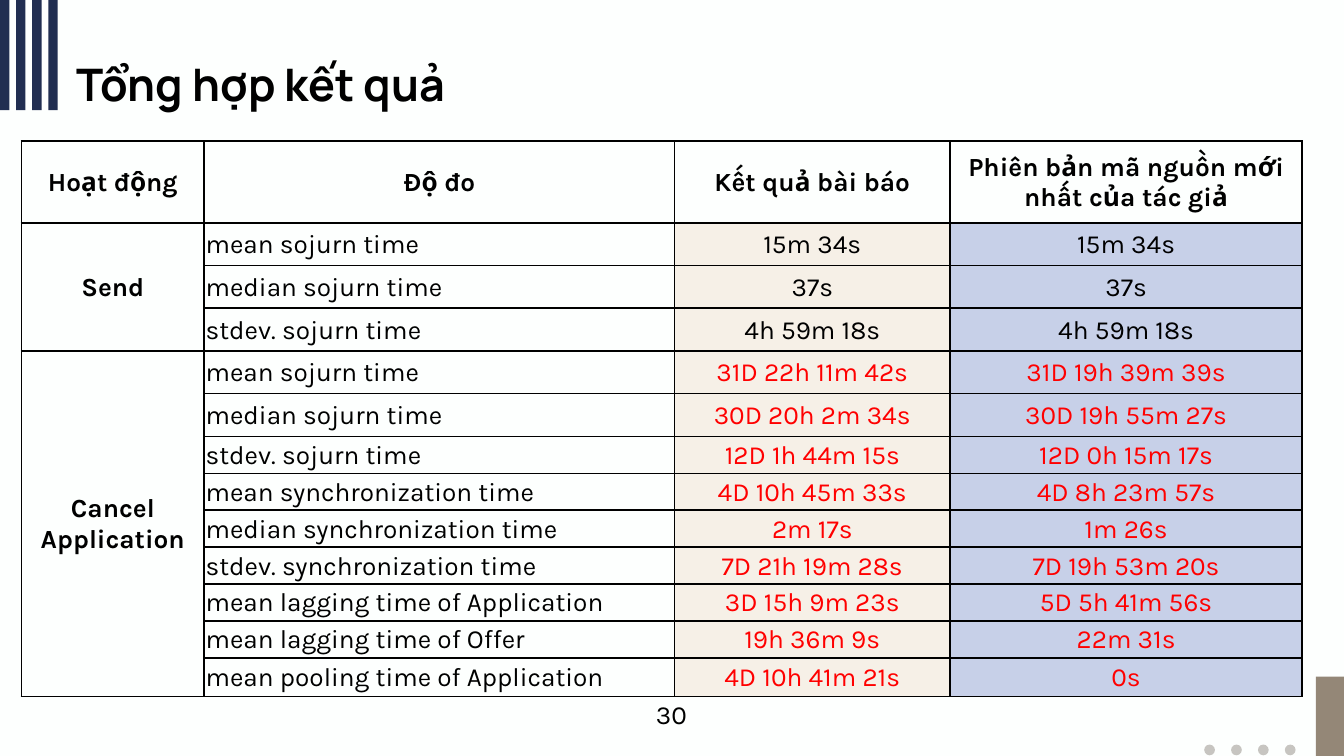
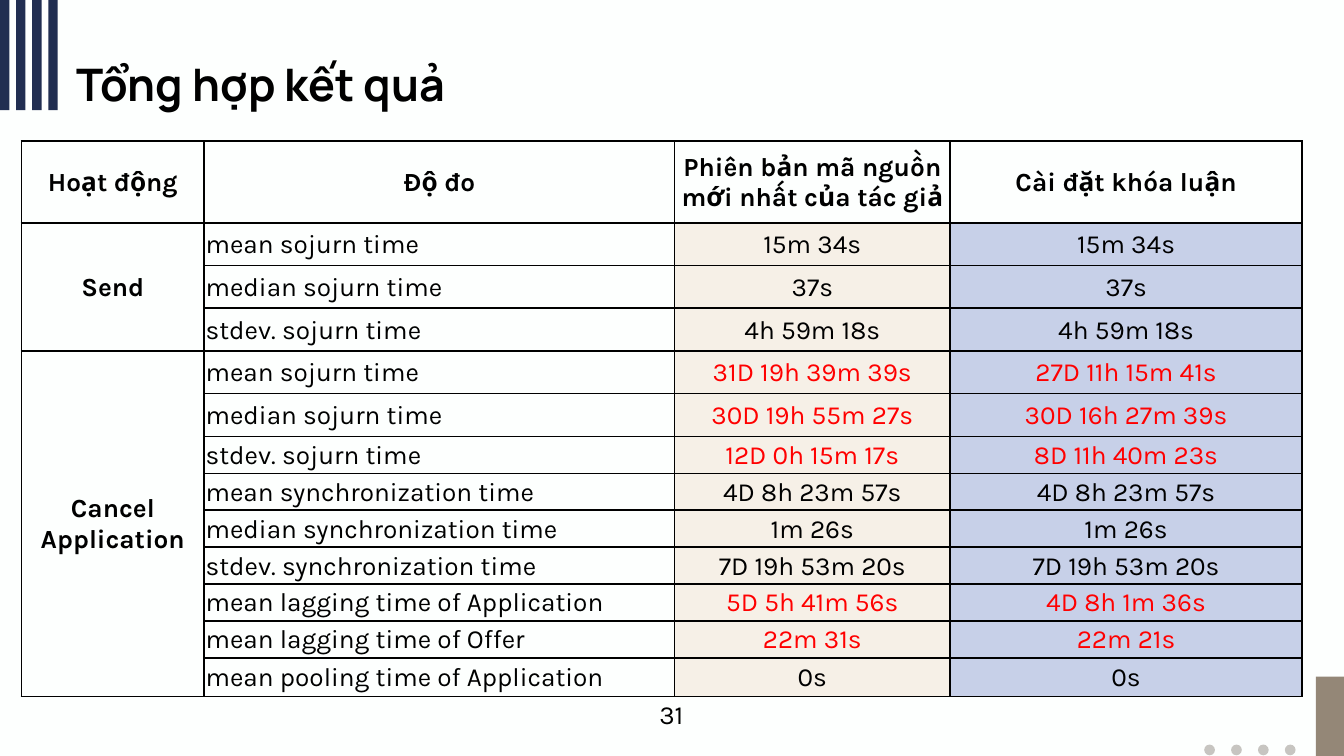
from lxml import etree
from pptx import Presentation
from pptx import util as u
from pptx.dml.color import RGBColor
from pptx.enum import shapes, text
from pptx.oxml.ns import qn

W = 10
H = W * 9 / 16
PAPER, NAVY, TAUPE, GREY = "FDFFFE", "212E51", "948777", "C7C5C1"
CREAM, BLUE, BLACK, RED = "F6F0E7", "C7D0E8", "000000", "FF0000"
MID = text.MSO_ANCHOR.MIDDLE
LEFT, CENTER = text.PP_ALIGN.LEFT, text.PP_ALIGN.CENTER
RECT, OVAL = shapes.MSO_SHAPE.RECTANGLE, shapes.MSO_SHAPE.OVAL

# Table grid: widths in inches, heights in points
COLS = [1.36, 3.5, 2.05, 2.62]
ROWS = [43.8] + [22.9] * 5 + [19.8] * 6 + [20.6]

# Labels shared by both tables
SOJURN = [f"{m} sojurn time" for m in ("mean", "median", "stdev.")]
SYNC = [f"{m} synchronization time" for m in ("mean", "median", "stdev.")]
LAGS = ["mean lagging time of Application", "mean lagging time of Offer",
        "mean pooling time of Application"]
NAMES = SOJURN + SOJURN + SYNC + LAGS
GROUPS = {1: ("Send", 3), 4: ("Cancel Application", 9)}

# Result columns: heading and values
SEND = ["15m 34s", "37s", "4h 59m 18s"]
SAME = ["4D 8h 23m 57s", "1m 26s", "7D 19h 53m 20s"]
PAPERS = ["Kết quả bài báo", *SEND,
          "31D 22h 11m 42s", "30D 20h 2m 34s", "12D 1h 44m 15s",
          "4D 10h 45m 33s", "2m 17s", "7D 21h 19m 28s",
          "3D 15h 9m 23s", "19h 36m 9s", "4D 10h 41m 21s"]
AUTHOR = ["Phiên bản mã nguồn mới nhất của tác giả", *SEND,
          "31D 19h 39m 39s", "30D 19h 55m 27s", "12D 0h 15m 17s", *SAME,
          "5D 5h 41m 56s", "22m 31s", "0s"]
THESIS = ["Cài đặt khóa luận", *SEND,
          "27D 11h 15m 41s", "30D 16h 27m 39s", "8D 11h 40m 23s", *SAME,
          "4D 8h 1m 36s", "22m 21s", "0s"]
PAGES = [(30, PAPERS, AUTHOR), (31, AUTHOR, THESIS)]


def paint(fill, color):
    fill.solid()
    fill.fore_color.rgb = RGBColor.from_string(color)


def write(frame, words, face="Karla", size=14, bold=False, color=BLACK, align=CENTER):
    frame.text = words
    para = frame.paragraphs[0]
    para.alignment = align
    for run in para.runs:
        run.font.name, run.font.size, run.font.bold = face, u.Pt(size), bold
        run.font.color.rgb = RGBColor.from_string(color)
    return para


prs = Presentation()
prs.slide_width, prs.slide_height = u.Inches(W), u.Inches(H)
paint(prs.slide_master.background.fill, PAPER)

# Corner stripes, dots and block
decor = [(RECT, 0.12 * i, 0, 0.07, 0.82, NAVY) for i in range(4)]
decor += [(OVAL, 8.96 + 0.2 * i, 5.54, 0.08, 0.08, GREY) for i in range(4)]
decor += [(RECT, W - 0.21, H - 0.59, 0.21, 0.59, TAUPE)]

for num, first, second in PAGES:
    slide = prs.slides.add_slide(prs.slide_layouts[5])
    for kind, x, y, w, h, color in decor:
        part = slide.shapes.add_shape(kind, *map(u.Inches, (x, y, w, h)))
        part.shadow.inherit = False
        part.line.fill.background()
        paint(part.fill, color)

    # Page number
    box = slide.shapes.add_textbox(*map(u.Inches, (4.72, 5.14, 0.55, 0.34)))
    frame = box.text_frame
    frame.word_wrap, frame.vertical_anchor = True, MID
    frame.auto_size = text.MSO_AUTO_SIZE.SHAPE_TO_FIT_TEXT
    write(frame, str(num))

    # Title
    title = slide.shapes.title
    title.left, title.top, title.width, title.height = map(u.Inches, (0.32, 0.32, 4.95, 0.63))
    frame = title.text_frame
    frame.margin_left = frame.margin_right = u.Inches(0.1)
    frame.margin_top = frame.margin_bottom = u.Inches(0.1)
    frame.vertical_anchor = text.MSO_ANCHOR.TOP
    frame.auto_size = text.MSO_AUTO_SIZE.NONE
    para = write(frame, "Tổng hợp kết quả", "Manrope", 24, True, align=LEFT)
    para._p.get_or_add_pPr().set("marL", str(u.Inches(0.15)))

    # Table frame
    table = slide.shapes.add_table(
        len(ROWS), len(COLS), u.Inches(0.16), u.Inches(1.05),
        u.Inches(sum(COLS)), u.Pt(sum(ROWS))).table
    table.first_row = table.horz_banding = False
    for col, w in zip(table.columns, COLS):
        col.width = u.Inches(w)
    for row, h in zip(table.rows, ROWS):
        row.height = u.Pt(h)

    # Cells: values that differ between the two results are red
    lines = zip(["Hoạt động"] + [""] * len(NAMES), ["Độ đo"] + NAMES, first, second)
    for r, line in enumerate(lines):
        for c, words in enumerate(line):
            cell = table.cell(r, c)
            cell.vertical_anchor = MID
            cell.margin_left = cell.margin_right = cell.margin_top = u.Inches(0.01)
            cell.margin_bottom = 0
            props = cell._tc.get_or_add_tcPr()
            for side in ("a:lnL", "a:lnR", "a:lnT", "a:lnB"):
                edge = etree.SubElement(props, qn(side), w=str(u.Pt(1)))
                ink = etree.SubElement(edge, qn("a:solidFill"))
                etree.SubElement(ink, qn("a:srgbClr"), val=BLACK)
            if r == 0:
                paint(cell.fill, PAPER)
            elif c < 2:
                cell.fill.background()
            else:
                paint(cell.fill, CREAM if c == 2 else BLUE)
            if words:
                differ = r > 0 and c > 1 and first[r] != second[r]
                write(cell.text_frame, words, bold=r == 0,
                      color=RED if differ else BLACK,
                      align=LEFT if r and c == 1 else CENTER)

    # Activity groups
    for r, (name, span) in GROUPS.items():
        cell = table.cell(r, 0)
        cell.merge(table.cell(r + span - 1, 0))
        write(cell.text_frame, name, bold=True)

prs.save("out.pptx")
